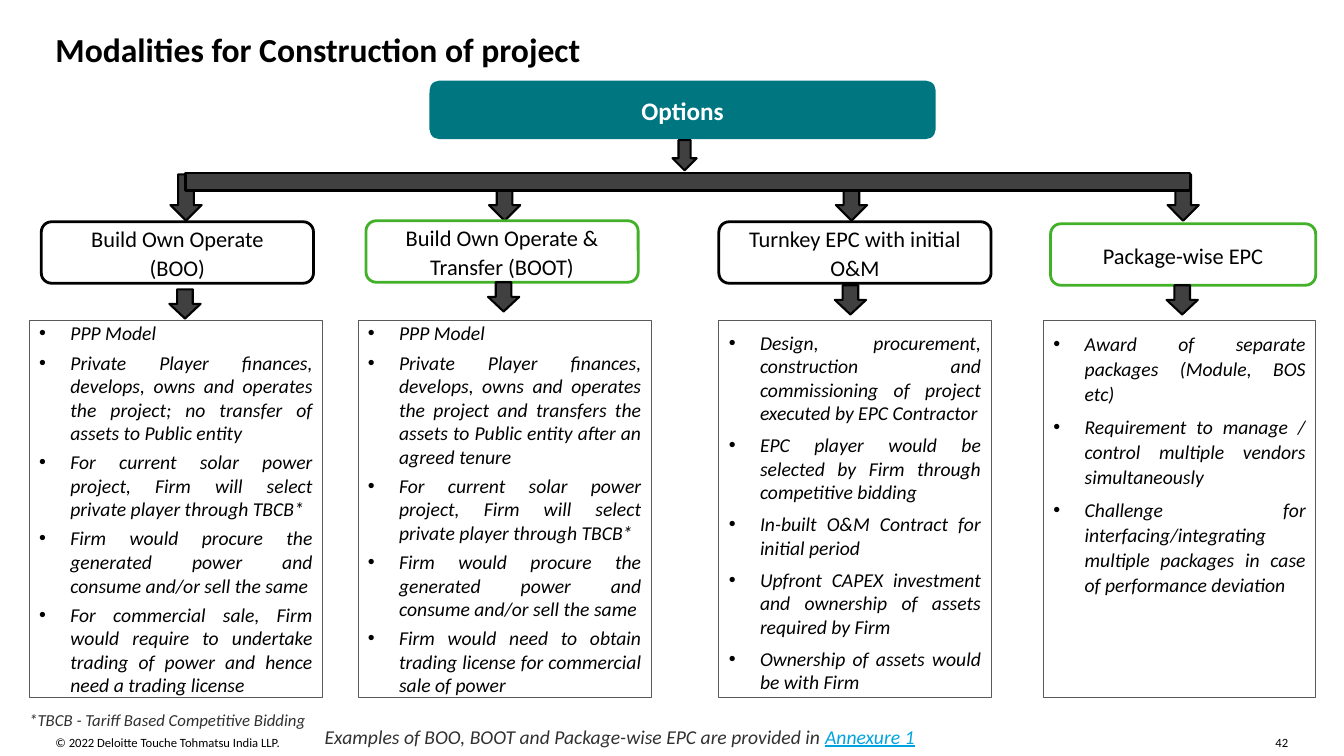
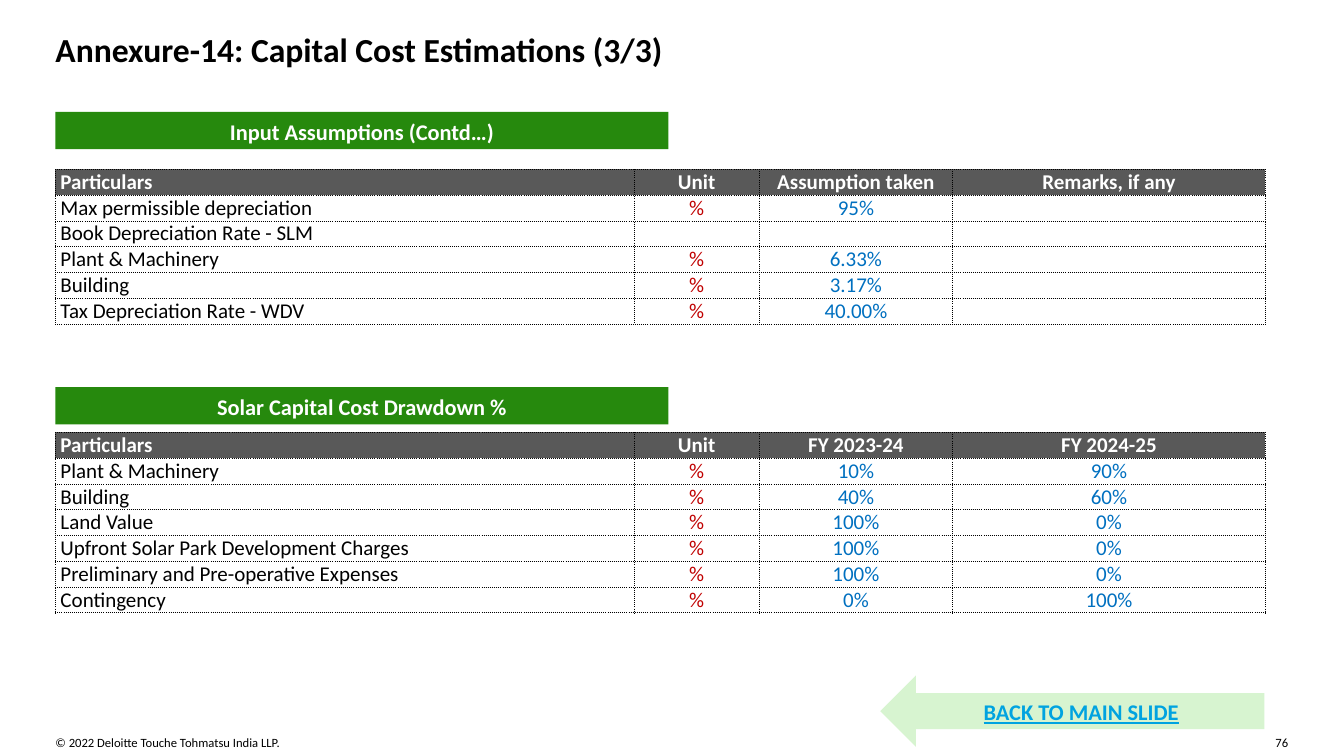
from dataclasses import dataclass

from lxml.etree import SubElement
from pptx import Presentation
from pptx.dml.color import RGBColor
from pptx.enum.shapes import MSO_SHAPE as Form
from pptx.enum.text import MSO_ANCHOR as Anchor, MSO_AUTO_SIZE as Auto, PP_ALIGN as Align
from pptx.oxml.ns import qn
from pptx.util import Emu, Pt


@dataclass(frozen=True)
class Theme:
    font: str = "Calibri"
    black: str = "000000"
    white: str = "FFFFFF"
    teal: str = "007680"
    green: str = "43B02A"
    band: str = "26890D"
    pale: str = "D7F4D0"
    dark: str = "404040"
    grey: str = "595959"
    note: str = "313131"
    link: str = "00A3E0"
    red: str = "C00000"
    blue: str = "0070C0"
    title: int = 24
    lead: int = 18
    head: int = 16
    cell: int = 15
    body: int = 14
    small: int = 12
    foot: int = 9
    loose: float = 1.06


T = Theme()


def px(n):
    """100 px make one inch."""
    return Emu(n * 9144)


def rgb(code):
    return RGBColor.from_string(code)


# Text
def style(font, size, color, bold=False, italic=False, under=False):
    font.name, font.size = T.font, Pt(size)
    font.bold, font.italic, font.underline = bold, italic, under
    font.color.rgb = rgb(color)


def inset(frame, pad, anchor):
    frame.word_wrap = True
    frame.auto_size = Auto.NONE
    frame.vertical_anchor = anchor
    frame.margin_left = frame.margin_right = px(pad)
    frame.margin_top = frame.margin_bottom = px(pad)


def bullet(para):
    props = para._p.get_or_add_pPr()
    props.set("marL", str(px(31)))
    props.set("indent", str(px(-31)))
    SubElement(props, qn("a:buFont"), typeface="Arial")
    SubElement(props, qn("a:buChar"), char="•")


def write(shape, lines, size, color, align=Align.LEFT, anchor=Anchor.TOP, pad=0,
          space=1.0, after=0, dots=False, **look):
    frame = shape.text_frame
    inset(frame, pad, anchor)
    for i, line in enumerate(lines):
        para = frame.paragraphs[0] if i == 0 else frame.add_paragraph()
        para.text = line
        if dots:
            bullet(para)
        para.alignment = align
        para.line_spacing = space
        para.space_before, para.space_after = Pt(0), Pt(after)
        style(para.font, size, color, **look)
    return frame


def label(slide, box, text, size, color, **look):
    shape = slide.shapes.add_textbox(*map(px, box))
    return write(shape, [text], size, color, **look)


# Shapes
def draw(slide, form, box, fill=None, line=None, width=1.5):
    shape = slide.shapes.add_shape(form, *map(px, box))
    shape.shadow.inherit = False
    if fill:
        shape.fill.solid()
        shape.fill.fore_color.rgb = rgb(fill)
    else:
        shape.fill.background()
    if line:
        shape.line.color.rgb = rgb(line)
        shape.line.width = Pt(width)
    else:
        shape.line.fill.background()
    return shape


def center(shape, lines, size, color, **look):
    write(shape, lines, size, color, Align.CENTER, Anchor.MIDDLE, 10, T.loose, **look)


def arrow(slide, mid, top, wide, high):
    draw(slide, Form.DOWN_ARROW, (mid - wide // 2, top, wide, high), T.dark, T.black)


def start(deck, title, number):
    """Slide with title, copyright line and page number."""
    slide = deck.slides.add_slide(deck.slide_layouts[5])
    head = slide.shapes.title
    head.left, head.top, head.width, head.height = map(px, (55, 29, 1224, 37))
    write(head, [title], T.title, T.black, bold=True)
    label(slide, (55, 729, 586, 15), "© 2022 Deloitte Touche Tohmatsu India LLP.",
          T.foot, T.black)
    label(slide, (1265, 729, 20, 15), number, T.foot, T.black)
    return slide


# Option tree
@dataclass(frozen=True)
class Option:
    name: list
    edge: str
    head: tuple    # left, top, width
    panel: tuple   # left, width
    mid: int       # centre of the arrows
    gap: int       # from the head to the lower arrow
    points: list
    anchor: Anchor = Anchor.TOP
    after: int = 6
    space: float = 1.0


SHARED = [
    "For current solar power project, Firm will select private player through TBCB*",
    "Firm would procure the generated power and consume and/or sell the same",
]
OPTIONS = [
    Option(["Build Own Operate", "(BOO)"], T.black, (41, 220, 270), (29, 291), 184, 6, [
        "PPP Model",
        "Private Player finances, develops, owns and operates the project; "
        "no transfer of assets to Public entity",
        *SHARED,
        "For commercial sale, Firm would require to undertake trading of power "
        "and hence need a trading license",
    ], Anchor.MIDDLE, 4),
    Option(["Build Own Operate & Transfer (BOOT)"], T.green, (363, 219, 270), (355, 291), 500, 0, [
        "PPP Model",
        "Private Player finances, develops, owns and operates the project and "
        "transfers the assets to Public entity after an agreed tenure",
        *SHARED,
        "Firm would need to obtain trading license for commercial sale of power",
    ], Anchor.MIDDLE, 4),
    Option(["Turnkey EPC with initial O&M"], T.black, (713, 220, 270), (713, 270), 844, 2, [
        "Design, procurement, construction and commissioning of project "
        "executed by EPC Contractor",
        "EPC player would be selected by Firm through competitive bidding",
        "In-built O&M Contract for initial period",
        "Upfront CAPEX investment and ownership of assets required by Firm",
        "Ownership of assets would be with Firm",
    ]),
    Option(["Package-wise EPC"], T.green, (1042, 222, 263), (1035, 270), 1173, 0, [
        "Award of separate packages (Module, BOS etc)",
        "Requirement to manage / control multiple vendors simultaneously",
        "Challenge for interfacing/integrating multiple packages in case of "
        "performance deviation",
    ], space=T.loose),
]


def branch(slide, opt):
    """Head, lower arrow and bullet panel of one option."""
    left, top, wide = opt.head
    high = 61
    head = draw(slide, Form.ROUNDED_RECTANGLE, (left, top, wide, high), T.white, opt.edge, 2)
    center(head, opt.name, T.head, T.black)
    arrow(slide, opt.mid - 1, top + high + opt.gap, 31, 29)
    left, wide = opt.panel
    panel = draw(slide, Form.RECTANGLE, (left, 318, wide, 374), None, T.grey, 0.5)
    write(panel, opt.points, T.body, T.black, Align.JUSTIFY, opt.anchor, 10,
          opt.space, opt.after, dots=True, italic=True)


def tree(deck):
    slide = start(deck, "Modalities for Construction of project", "42")
    root = draw(slide, Form.ROUNDED_RECTANGLE, (426, 80, 502, 58), T.teal)
    center(root, ["Options"], T.lead, T.white, bold=True)
    arrow(slide, 679, 139, 24, 30)
    # Arrows below the bar, then the bar over them
    for opt in OPTIONS:
        arrow(slide, opt.mid, 173, 31, 46)
    draw(slide, Form.RECTANGLE, (184, 172, 996, 17), T.dark, T.black)
    for opt in OPTIONS:
        branch(slide, opt)
    # Notes
    label(slide, (29, 704, 406, 20), "*TBCB - Tariff Based Competitive Bidding",
          T.small, T.note, italic=True)
    more = label(slide, (322, 719, 595, 24),
                 "Examples of BOO, BOOT and Package-wise EPC are provided in ",
                 T.body, T.note, italic=True)
    run = more.paragraphs[0].add_run()
    run.text = "Annexure 1"
    run.font.underline = True
    run.font.color.rgb = rgb(T.link)


# Cost tables
INPUTS = [
    ("Particulars", "Unit", "Assumption taken", "Remarks, if any"),
    ("Max permissible depreciation", "%", "95%", ""),
    ("Book Depreciation Rate - SLM", "", "", ""),
    ("Plant & Machinery", "%", "6.33%", ""),
    ("Building", "%", "3.17%", ""),
    ("Tax Depreciation Rate - WDV", "%", "40.00%", ""),
]
DRAWS = [
    ("Particulars", "Unit", "FY 2023-24", "FY 2024-25"),
    ("Plant & Machinery", "%", "10%", "90%"),
    ("Building", "%", "40%", "60%"),
    ("Land Value", "%", "100%", "0%"),
    ("Upfront Solar Park Development Charges", "%", "100%", "0%"),
    ("Preliminary and Pre-operative Expenses", "%", "100%", "0%"),
    ("Contingency", "%", "0%", "100%"),
]
WIDTHS = (574, 124, 192, 310)
INKS = (T.black, T.red, T.blue, T.blue)


def border(cell):
    props = cell._tc.get_or_add_tcPr()
    for side in ("lnL", "lnR", "lnT", "lnB"):
        line = SubElement(props, qn("a:" + side), w=str(Pt(0.5)))
        fill = SubElement(line, qn("a:solidFill"))
        SubElement(fill, qn("a:srgbClr"), val=T.black)
        SubElement(line, qn("a:prstDash"), val="sysDot")


def entry(cell, text, col, top):
    """One cell; top marks the header row."""
    cell.margin_left = cell.margin_right = px(5)
    cell.margin_top = cell.margin_bottom = 0
    cell.vertical_anchor = Anchor.MIDDLE
    border(cell)
    if top:
        cell.fill.solid()
        cell.fill.fore_color.rgb = rgb(T.grey)
    else:
        cell.fill.background()
    para = cell.text_frame.paragraphs[0]
    para.text = text
    para.alignment = Align.CENTER if col else Align.LEFT
    style(para.font, T.cell, T.white if top else INKS[col], bold=top)
    if not text:
        SubElement(para._p, qn("a:endParaRPr"), sz=str(T.cell * 100))


def grid(slide, left, top, rows):
    high = 25
    box = (left, top, sum(WIDTHS), high * len(rows))
    table = slide.shapes.add_table(len(rows), len(WIDTHS), *map(px, box)).table
    table.first_row = table.horz_banding = False
    for col, wide in enumerate(WIDTHS):
        table.columns[col].width = px(wide)
    for i, row in enumerate(rows):
        table.rows[i].height = px(high)
        for col, text in enumerate(row):
            entry(table.cell(i, col), text, col, i == 0)


def section(slide, left, top, name, gap, rows):
    """Green band with a table below it."""
    band = draw(slide, Form.RECTANGLE, (left, top, 608, 37), T.band)
    center(band, [name], T.head, T.white, bold=True)
    grid(slide, left, top + 37 + gap, rows)


def costs(deck):
    slide = start(deck, "Annexure-14: Capital Cost Estimations (3/3)", "76")
    section(slide, 55, 111, "Input Assumptions (Contd…)", 20, INPUTS)
    section(slide, 55, 384, "Solar Capital Cost Drawdown %", 8, DRAWS)
    back = draw(slide, Form.LEFT_ARROW, (873, 670, 381, 71), T.pale)
    center(back, ["BACK TO MAIN SLIDE"], T.head, T.link, bold=True, under=True)


def main():
    deck = Presentation()
    deck.slide_width, deck.slide_height = px(1333), px(750)
    tree(deck)
    costs(deck)
    deck.save("out.pptx")


if __name__ == "__main__":
    main()
